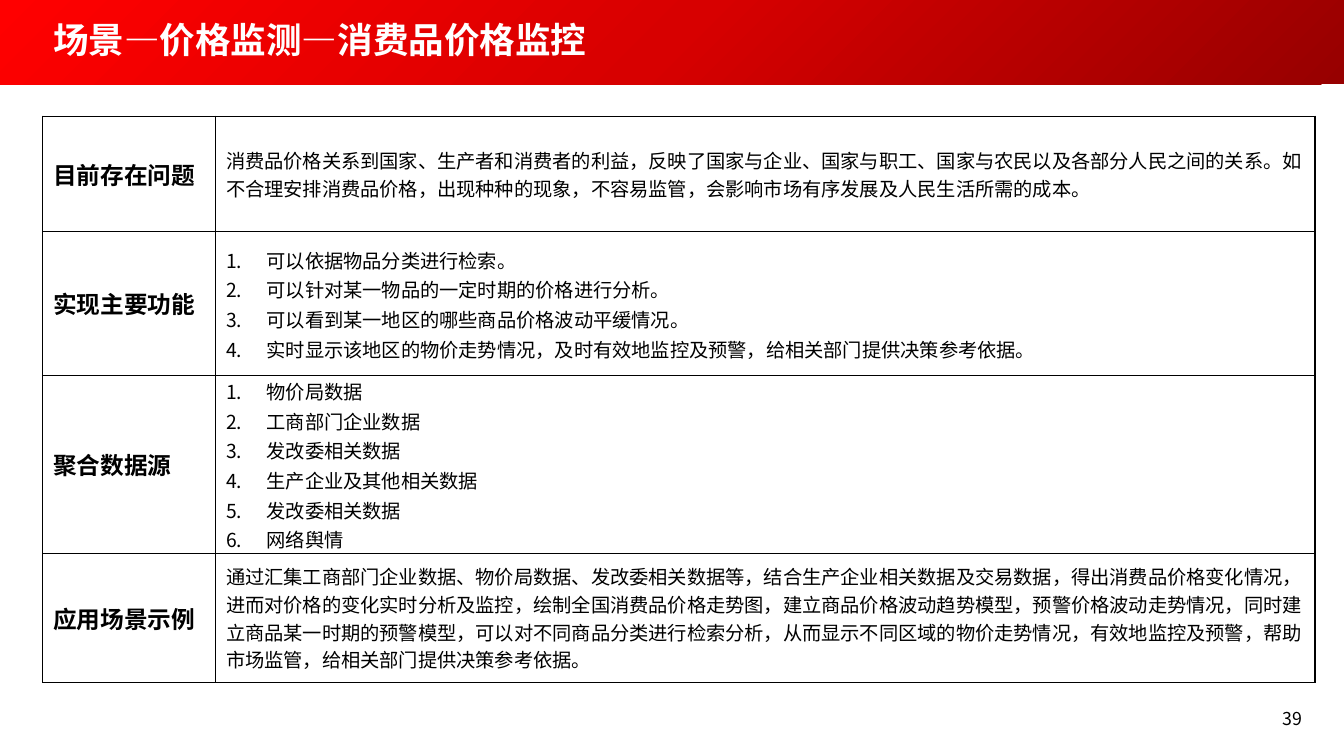
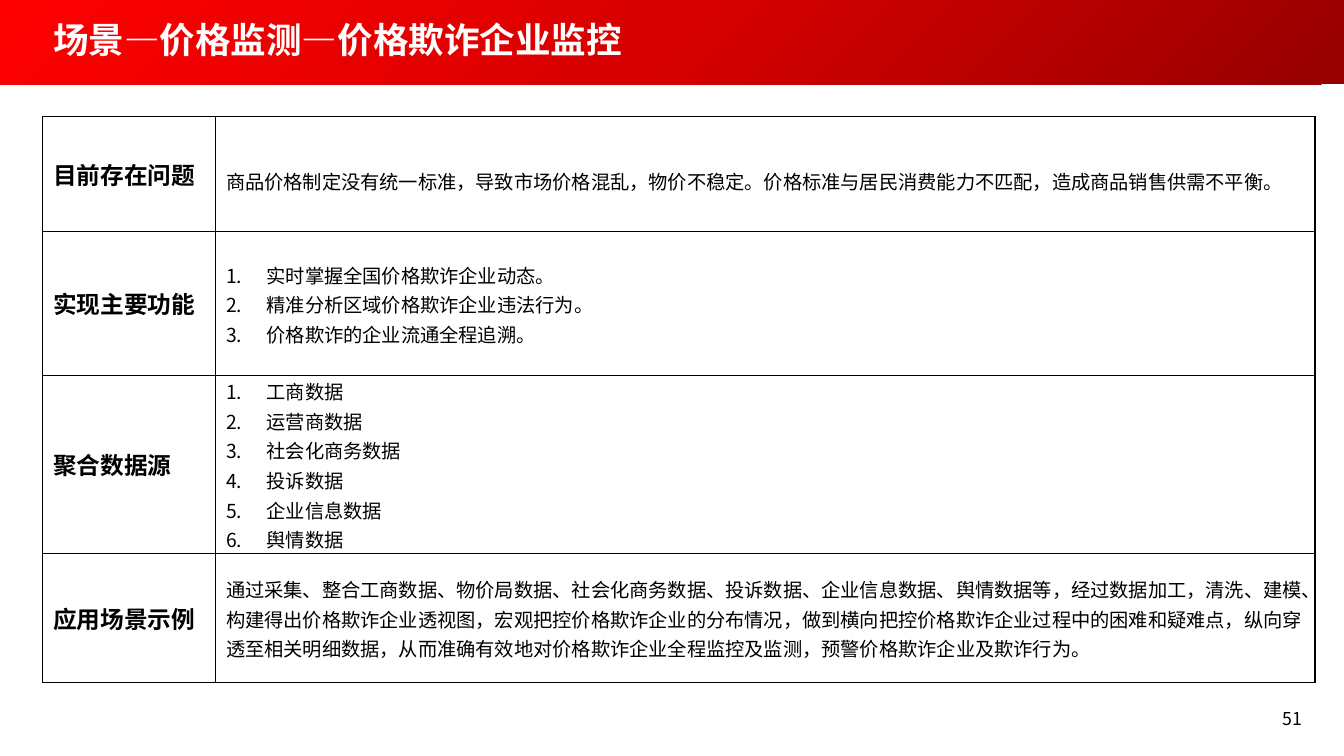
from copy import deepcopy

from lxml import etree
from pptx import Presentation
from pptx.dml.color import RGBColor
from pptx.enum.shapes import MSO_SHAPE
from pptx.enum.text import MSO_ANCHOR, PP_ALIGN
from pptx.oxml.ns import qn
from pptx.util import Pt

RECTANGLE = MSO_SHAPE.RECTANGLE
TOP, MIDDLE = MSO_ANCHOR.TOP, MSO_ANCHOR.MIDDLE
LEFT, RIGHT = PP_ALIGN.LEFT, PP_ALIGN.RIGHT

FONT, BODY_FONT = "Noto Sans CJK SC", "Calibri"
BLACK, WHITE = "000000", "FFFFFF"
BAND_STOPS = [(0, "970000"), (0.5, "D70000"), (1, "FF0000")]

WIDTH, HEIGHT, BAND_HEIGHT = 907.2, 510.5, 56.9
MARGIN, TABLE_TOP = 28.8, 78.5
COLUMNS = [116.6, 742.3]
ROWS = [77.8, 97.2, 120.2, 87.1]
HEADINGS = ["目前存在问题", "实现主要功能", "聚合数据源", "应用场景示例"]
HEADING_INSETS = (7.2, 3.6, 7.2, 3.6)
CONTENT_INSETS = [HEADING_INSETS, HEADING_INSETS, (7.2, 0, 5.8, 0), (7.2, 0, 8.6, 0)]

# Each content cell: paragraphs and line spacing; several paragraphs form a numbered list
PAGES = [
    ("场景—价格监测—消费品价格监控", "39", [
        (["消费品价格关系到国家、生产者和消费者的利益，反映了国家与企业、国家与职工、国家与农民以及各部分人民之间的关系。"
          "如不合理安排消费品价格，出现种种的现象，不容易监管，会影响市场有序发展及人民生活所需的成本。"], 1.0),
        (["可以依据物品分类进行检索。",
          "可以针对某一物品的一定时期的价格进行分析。",
          "可以看到某一地区的哪些商品价格波动平缓情况。",
          "实时显示该地区的物价走势情况，及时有效地监控及预警，给相关部门提供决策参考依据。"], 1.07),
        (["物价局数据", "工商部门企业数据", "发改委相关数据",
          "生产企业及其他相关数据", "发改委相关数据", "网络舆情"], 1.07),
        (["通过汇集工商部门企业数据、物价局数据、发改委相关数据等，结合生产企业相关数据及交易数据，得出消费品价格变化情况，"
          "进而对价格的变化实时分析及监控，绘制全国消费品价格走势图，建立商品价格波动趋势模型，预警价格波动走势情况，"
          "同时建立商品某一时期的预警模型，可以对不同商品分类进行检索分析，从而显示不同区域的物价走势情况，"
          "有效地监控及预警，帮助市场监管，给相关部门提供决策参考依据。"], 1.0),
    ]),
    ("场景—价格监测—价格欺诈企业监控", "51", [
        (["商品价格制定没有统一标准，导致市场价格混乱，物价不稳定。"
          "价格标准与居民消费能力不匹配，造成商品销售供需不平衡。"], 1.5),
        (["实时掌握全国价格欺诈企业动态。",
          "精准分析区域价格欺诈企业违法行为。",
          "价格欺诈的企业流通全程追溯。"], 1.07),
        (["工商数据", "运营商数据", "社会化商务数据",
          "投诉数据", "企业信息数据", "舆情数据"], 1.07),
        (["通过采集、整合工商数据、物价局数据、社会化商务数据、投诉数据、企业信息数据、舆情数据等，"
          "经过数据加工，清洗、建模、构建得出价格欺诈企业透视图，宏观把控价格欺诈企业的分布情况，"
          "做到横向把控价格欺诈企业过程中的困难和疑难点，纵向穿透至相关明细数据，"
          "从而准确有效地对价格欺诈企业全程监控及监测，预警价格欺诈企业及欺诈行为。"], 1.07),
    ]),
]


def color(hex_code):
    return RGBColor.from_string(hex_code)


def write(frame, paragraphs, size=13, font=FONT, ink=BLACK, bold=False,
          align=LEFT, spacing=1.0, numbered=False):
    frame.word_wrap = True
    for index, text in enumerate(paragraphs):
        paragraph = frame.paragraphs[0] if index == 0 else frame.add_paragraph()
        paragraph.alignment = align
        paragraph.line_spacing = spacing
        if numbered:
            properties = paragraph._p.get_or_add_pPr()
            properties.set("marL", str(Pt(27.4)))
            properties.set("indent", str(-Pt(27.4)))
            bullet_color = etree.SubElement(properties, qn("a:buClr"))
            etree.SubElement(bullet_color, qn("a:srgbClr"), val=ink)
            etree.SubElement(properties, qn("a:buAutoNum"), type="arabicPeriod")
        run = paragraph.add_run()
        run.text = text
        run.font.size = Pt(size)
        run.font.name = font
        run.font.bold = bold
        run.font.color.rgb = color(ink)
        etree.SubElement(run.font._element, qn("a:ea"), typeface=FONT)


deck = Presentation()
deck.slide_width, deck.slide_height = Pt(WIDTH), Pt(HEIGHT)

for title, page_number, contents in PAGES:
    slide = deck.slides.add_slide(deck.slide_layouts[6])

    band = slide.shapes.add_shape(RECTANGLE, 0, 0, Pt(WIDTH), Pt(BAND_HEIGHT))
    band.shadow.inherit = False
    band.line.fill.background()
    band.fill.gradient()
    band.fill.gradient_angle = 135
    stop_list = band._element.spPr.find(".//" + qn("a:gsLst"))
    stop_list.append(deepcopy(stop_list[0]))
    for stop, (position, shade) in zip(band.fill.gradient_stops, BAND_STOPS):
        stop.position = position
        stop.color.rgb = color(shade)

    for text, box, anchor, style in [
        (title, (MARGIN, 0, 782.6, BAND_HEIGHT), MIDDLE,
         dict(size=24, ink=WHITE, bold=True, spacing=0.9)),
        (page_number, (681.8, 474.5, 204.5, 27.4), TOP, dict(size=12, align=RIGHT)),
    ]:
        frame = slide.shapes.add_textbox(*map(Pt, box)).text_frame
        frame.vertical_anchor = anchor
        write(frame, [text], **style)

    table = slide.shapes.add_table(len(ROWS), len(COLUMNS), Pt(MARGIN), Pt(TABLE_TOP),
                                   Pt(sum(COLUMNS)), Pt(sum(ROWS))).table
    table.first_row = table.horz_banding = False
    for column, width in zip(table.columns, COLUMNS):
        column.width = Pt(width)
    for row, height, heading, (paragraphs, spacing), insets in zip(
            table.rows, ROWS, HEADINGS, contents, CONTENT_INSETS):
        row.height = Pt(height)
        heading_cell, content_cell = row.cells
        for cell, margins in [(heading_cell, HEADING_INSETS), (content_cell, insets)]:
            cell.vertical_anchor = MIDDLE
            (cell.margin_left, cell.margin_top,
             cell.margin_right, cell.margin_bottom) = map(Pt, margins)
            cell_properties = cell._tc.get_or_add_tcPr()
            for side in ("lnL", "lnR", "lnT", "lnB"):
                border = etree.SubElement(cell_properties, qn("a:" + side), w=str(Pt(1)))
                border_fill = etree.SubElement(border, qn("a:solidFill"))
                etree.SubElement(border_fill, qn("a:srgbClr"), val=BLACK)
            cell.fill.background()
        write(heading_cell.text_frame, [heading], size=16, bold=True)
        numbered = len(paragraphs) > 1
        write(content_cell.text_frame, paragraphs, spacing=spacing, numbered=numbered,
              font=FONT if numbered else BODY_FONT)

deck.save("out.pptx")
